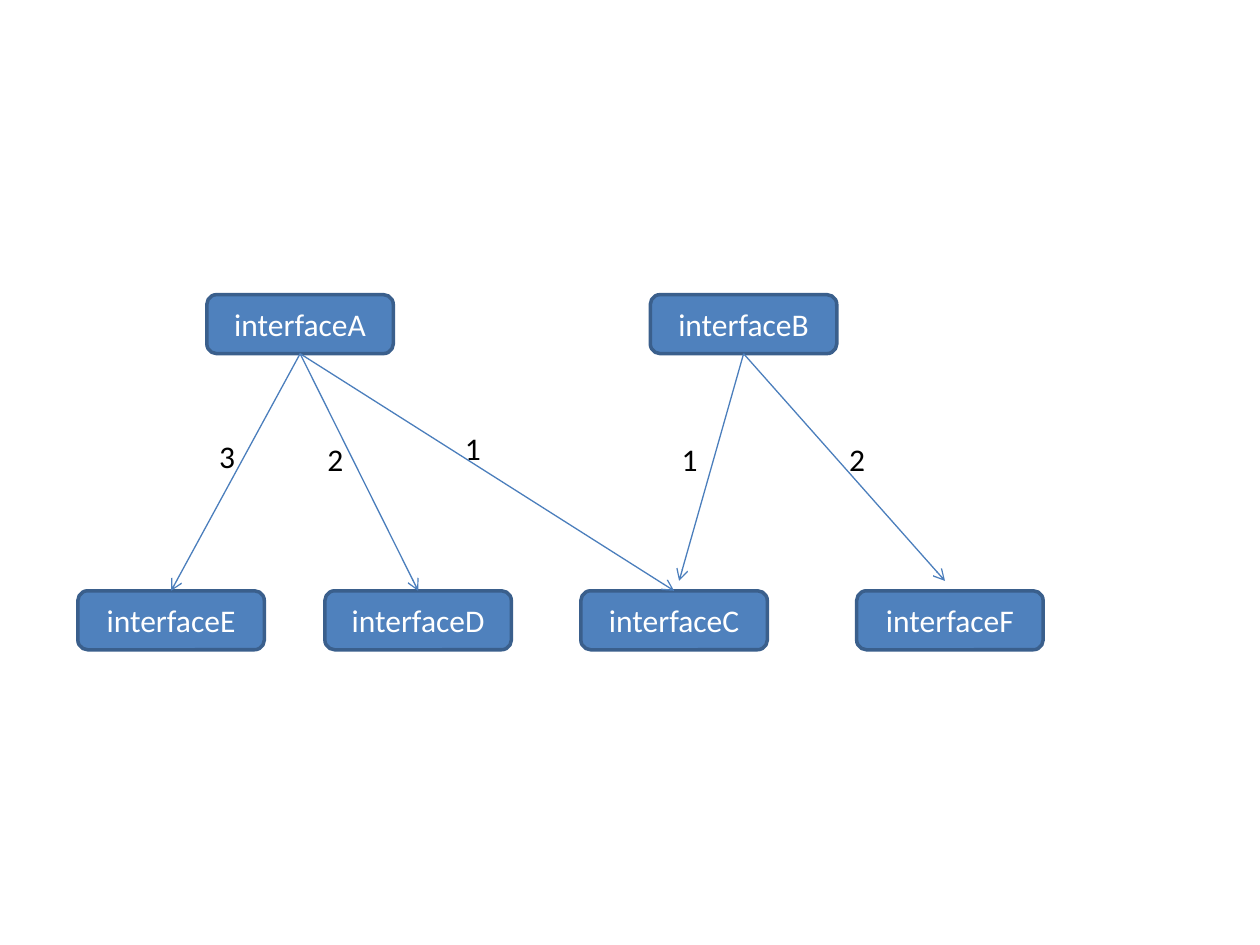
from pptx import Presentation
from pptx.dml.color import RGBColor
from pptx.enum.shapes import MSO_CONNECTOR as Connector, MSO_SHAPE as Shape
from pptx.enum.text import MSO_ANCHOR as Anchor, MSO_AUTO_SIZE as AutoSize, PP_ALIGN as Align
from pptx.oxml.ns import qn
from pptx.util import Cm, Pt
from lxml.etree import SubElement

BOX_FILL = RGBColor(0x4F, 0x81, 0xBD)
BOX_LINE = RGBColor(0x3A, 0x5F, 0x8C)
ARROW_LINE = RGBColor(0x4B, 0x7E, 0xBC)
WHITE = RGBColor(0xFF, 0xFF, 0xFF)
BLACK = RGBColor(0, 0, 0)

BOX_WIDTH, BOX_HEIGHT = 3.76, 1.19
UPPER_TOP, LOWER_TOP = 5.94, 11.91
LOOSE_END_TOP = 11.71
BOTTOM_SITE, TOP_SITE = 2, 0


class Diagram:
    """Style and current slide of an interface diagram."""

    font_name = "Calibri"
    font_size = Pt(18)

    def __init__(self, slide):
        """Draw on the given slide."""
        self.slide = slide

    def set_text(self, shape, text, color, align):
        """Put one styled line of text in a shape."""
        shape.text_frame.text = text
        paragraph = shape.text_frame.paragraphs[0]
        paragraph.alignment = align
        font = paragraph.runs[0].font
        font.name, font.size = self.font_name, self.font_size
        font.color.rgb = color

    def box(self, text, left, top):
        """Add a rounded box for one interface."""
        shape = self.slide.shapes.add_shape(
            Shape.ROUNDED_RECTANGLE, Cm(left), Cm(top), Cm(BOX_WIDTH), Cm(BOX_HEIGHT))
        shape.shadow.inherit = False
        shape.fill.solid()
        shape.fill.fore_color.rgb = BOX_FILL
        shape.line.color.rgb = BOX_LINE
        shape.line.width = Pt(2)
        shape.text_frame.vertical_anchor = Anchor.MIDDLE
        self.set_text(shape, text, WHITE, Align.CENTER)
        return shape

    def arrow(self, source, target=None, end_left=0):
        """Add an arrow from a box to another box, or to a loose end."""
        arrow = self.slide.shapes.add_connector(
            Connector.STRAIGHT, 0, 0, Cm(end_left), Cm(LOOSE_END_TOP))
        arrow.begin_connect(source, BOTTOM_SITE)
        if target is not None:
            arrow.end_connect(target, TOP_SITE)
        arrow.line.color.rgb = ARROW_LINE
        arrow.line.width = Pt(0.75)
        properties = arrow.element.spPr
        SubElement(properties.find(qn("a:ln")), qn("a:tailEnd"), type="arrow")
        SubElement(properties, qn("a:effectLst"))

    def label(self, text, left, top):
        """Add the number beside an arrow."""
        text_box = self.slide.shapes.add_textbox(Cm(left), Cm(top), Cm(1.6), Cm(1.02))
        text_box.text_frame.word_wrap = True
        text_box.text_frame.auto_size = AutoSize.SHAPE_TO_FIT_TEXT
        self.set_text(text_box, text, BLACK, Align.LEFT)


presentation = Presentation()
presentation.slide_width, presentation.slide_height = Cm(25.4), Cm(19.05)
diagram = Diagram(presentation.slides.add_slide(presentation.slide_layouts[6]))

positions = {
    "A": (4.17, UPPER_TOP), "B": (13.11, UPPER_TOP),
    "C": (11.71, LOWER_TOP), "D": (6.55, LOWER_TOP),
    "E": (1.57, LOWER_TOP), "F": (17.27, LOWER_TOP),
}
boxes = {letter: diagram.box(f"interface{letter}", left, top)
         for letter, (left, top) in positions.items()}

for letter in "CDE":
    diagram.arrow(boxes["A"], boxes[letter])
for end_left in (13.69, 19.05):
    diagram.arrow(boxes["B"], end_left=end_left)

for number, left, top in [("1", 9.12, 8.53), ("2", 6.35, 8.74), ("3", 4.17, 8.69),
                          ("1", 13.49, 8.74), ("2", 16.87, 8.74)]:
    diagram.label(number, left, top)

presentation.save("out.pptx")
